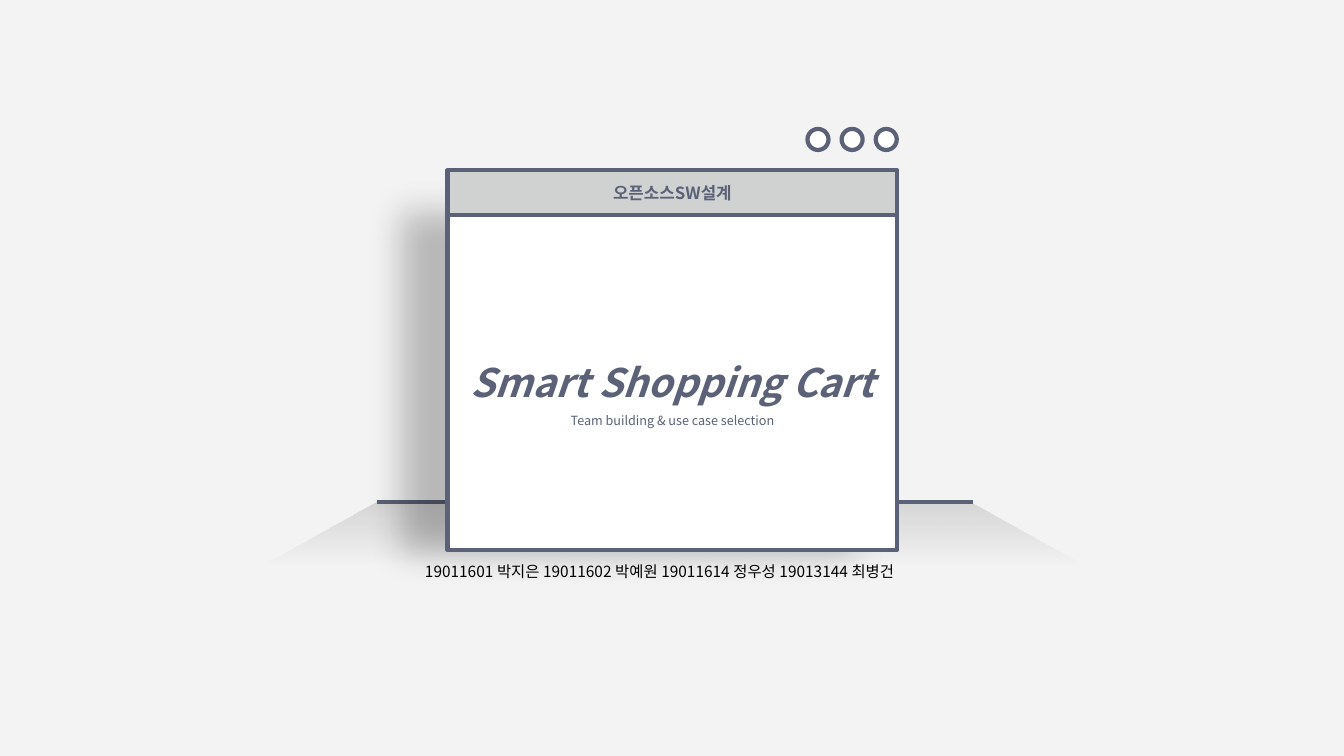
from dataclasses import dataclass

from lxml.etree import SubElement
from pptx import Presentation
from pptx.dml.color import RGBColor
from pptx.enum.shapes import MSO_CONNECTOR, MSO_SHAPE
from pptx.enum.text import MSO_ANCHOR, PP_ALIGN
from pptx.oxml.ns import qn
from pptx.util import Cm, Pt


@dataclass(frozen=True)
class Theme:
    """Colours, type sizes and line weight of the slide."""
    font: str = "Noto Sans CJK KR"
    background: RGBColor = RGBColor(0xF3, 0xF3, 0xF3)
    slate: RGBColor = RGBColor(0x5B, 0x61, 0x76)
    bar: RGBColor = RGBColor(0xD0, 0xD2, 0xD2)
    white: RGBColor = RGBColor(0xFF, 0xFF, 0xFF)
    black: RGBColor = RGBColor(0, 0, 0)
    title: Pt = Pt(28)
    heading: Pt = Pt(12)
    members: Pt = Pt(11)
    subtitle: Pt = Pt(9)
    outline: Pt = Pt(3)


THEME = Theme()
WINDOW_LEFT, WINDOW_WIDTH = Cm(11.28), Cm(11.33)
BAR_TOP, BODY_TOP = Cm(4.29), Cm(5.38)
FLOOR_TOP = Cm(12.65)


def add_outlined(slide, kind, left, top, width, height, fill):
    """Add a filled shape with the slate outline."""
    shape = slide.shapes.add_shape(kind, left, top, width, height)
    shape.shadow.inherit = False
    shape.fill.solid()
    shape.fill.fore_color.rgb = fill
    shape.line.color.rgb = THEME.slate
    shape.line.width = THEME.outline
    return shape


def write_paragraph(paragraph, text, size, color, bold=False, italic=False):
    """Fill a paragraph with text in one style."""
    paragraph.text = text
    font = paragraph.font
    font.name, font.size = THEME.font, size
    font.bold, font.italic = bold, italic
    font.color.rgb = color
    properties = paragraph._p.pPr.find(qn("a:defRPr"))
    SubElement(properties, qn("a:ea"), typeface=THEME.font)


def add_left_shadow(shape):
    """Cast a soft shadow to the left of a shape."""
    effects = shape._element.spPr.find(qn("a:effectLst"))
    shadow = SubElement(effects, qn("a:outerShdw"), blurRad=str(Pt(25)),
                        dist=str(Pt(32)), dir="10800000", algn="r", rotWithShape="0")
    color = SubElement(shadow, qn("a:srgbClr"), val=str(THEME.black))
    SubElement(color, qn("a:alpha"), val="24000")


def add_floor(slide):
    """Add the fading floor and the horizon line on its top edge."""
    floor = slide.shapes.add_shape(MSO_SHAPE.TRAPEZOID, Cm(6.53), FLOOR_TOP, Cm(20.88), Cm(1.63))
    floor.shadow.inherit = False
    floor.adjustments[0] = 1.83
    floor.line.fill.background()
    floor.fill.gradient()
    floor.fill.gradient_angle = 270
    for stop, position, alpha in zip(floor.fill.gradient_stops, (0, 1), ("13000", "0")):
        stop.position = position
        stop.color.rgb = THEME.black
        color = stop._gs.find(qn("a:srgbClr"))
        SubElement(color, qn("a:alpha"), val=alpha)
    horizon = slide.shapes.add_connector(
        MSO_CONNECTOR.STRAIGHT, Cm(9.5), FLOOR_TOP, Cm(24.51), FLOOR_TOP)
    horizon.line.color.rgb = THEME.slate
    horizon.line.width = THEME.outline
    SubElement(horizon._element.spPr, qn("a:effectLst"))


def add_window_part(slide, top, height, fill):
    """Add one rectangle of the window and return it."""
    part = add_outlined(slide, MSO_SHAPE.RECTANGLE, WINDOW_LEFT, top, WINDOW_WIDTH, height, fill)
    part.text_frame.vertical_anchor = MSO_ANCHOR.MIDDLE
    part.text_frame.word_wrap = True
    return part


def add_window(slide):
    """Add the window body with the titles, and its heading bar."""
    body = add_window_part(slide, BODY_TOP, Cm(8.48), THEME.white)
    add_left_shadow(body)
    title = body.text_frame.paragraphs[0]
    subtitle = body.text_frame.add_paragraph()
    write_paragraph(title, "Smart Shopping Cart", THEME.title, THEME.slate, True, True)
    write_paragraph(subtitle, "Team building & use case selection", THEME.subtitle, THEME.slate)
    for paragraph in (title, subtitle):
        paragraph.alignment = PP_ALIGN.CENTER
        paragraph.line_spacing = 1.5
    bar = add_window_part(slide, BAR_TOP, Cm(1.12), THEME.bar)
    heading = bar.text_frame.paragraphs[0]
    write_paragraph(heading, "오픈소스SW설계", THEME.heading, THEME.slate, True)
    heading.alignment = PP_ALIGN.CENTER


def add_buttons(slide):
    """Add the three round window buttons."""
    size, pitch = Cm(0.53), Cm(0.86)
    for index in range(3):
        add_outlined(slide, MSO_SHAPE.OVAL, Cm(20.35) + index * pitch, Cm(3.25),
                     size, size, THEME.white)


def add_members(slide):
    """Add the line of team members."""
    box = slide.shapes.add_textbox(Cm(10.46), Cm(14.05), Cm(13.03), Cm(0.74))
    box.text_frame.word_wrap = True
    write_paragraph(box.text_frame.paragraphs[0],
                    "19011601 박지은 19011602 박예원 19011614 정우성 19013144 최병건",
                    THEME.members, THEME.black)


def main():
    """Build the cover slide and save it."""
    presentation = Presentation()
    presentation.slide_width, presentation.slide_height = Cm(33.87), Cm(19.05)
    slide = presentation.slides.add_slide(presentation.slide_layouts[6])
    slide.background.fill.solid()
    slide.background.fill.fore_color.rgb = THEME.background
    add_floor(slide)
    add_window(slide)
    add_buttons(slide)
    add_members(slide)
    presentation.save("out.pptx")


if __name__ == "__main__":
    main()
